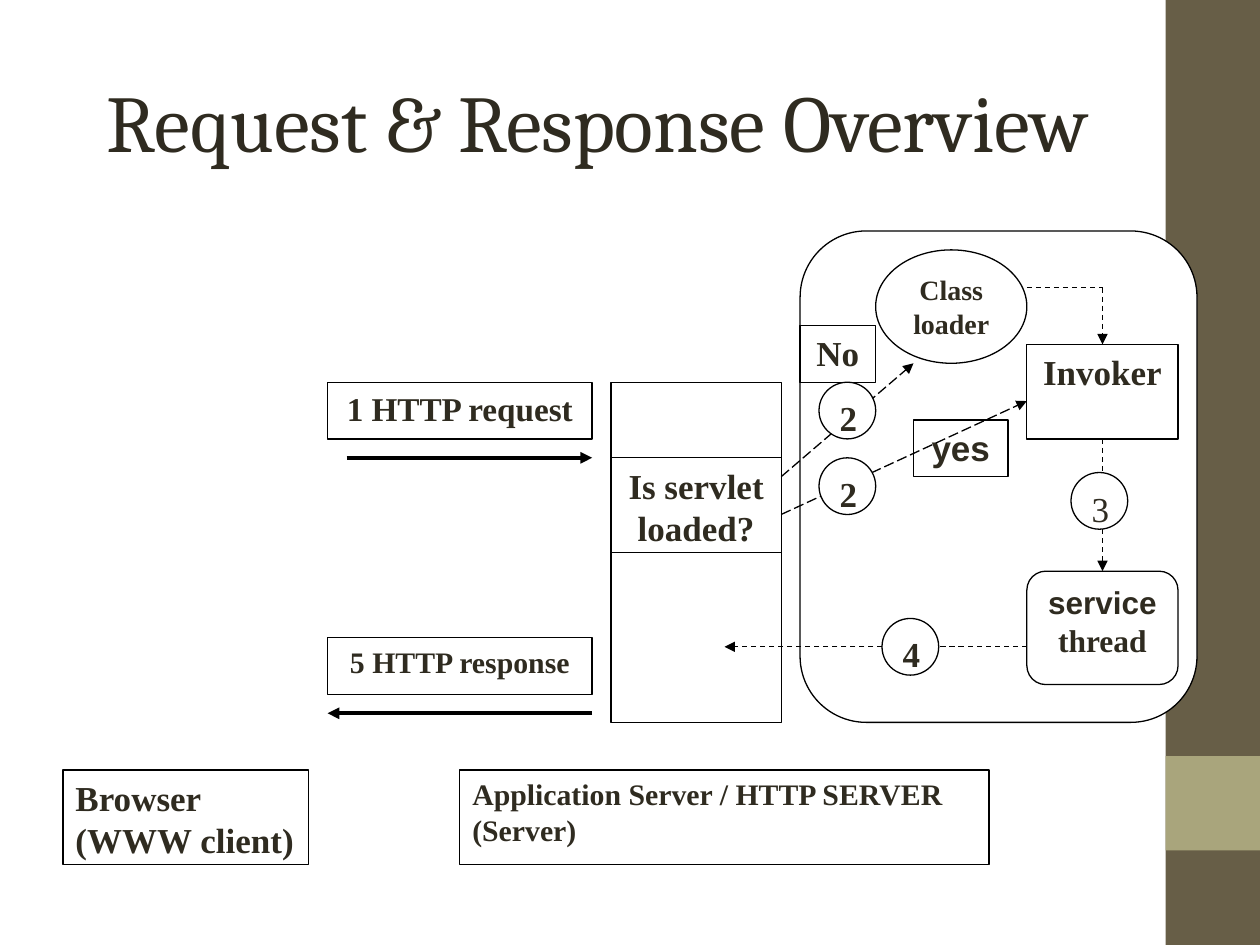
from lxml import etree
from pptx import Presentation
from pptx.dml.color import RGBColor
from pptx.enum.dml import MSO_LINE
from pptx.enum.shapes import MSO_CONNECTOR, MSO_SHAPE
from pptx.enum.text import MSO_ANCHOR, PP_ALIGN
from pptx.oxml.ns import qn
from pptx.util import Pt

COLORS = {"text": "2F2B20", "line": "000000", "fill": "FFFFFF",
          "band": "675E47", "accent": "A9A57C"}
SERIF, SANS, HEADING = "Times New Roman", "Arial", "Cambria"
RECT, OVAL, ROUND = MSO_SHAPE.RECTANGLE, MSO_SHAPE.OVAL, MSO_SHAPE.ROUNDED_RECTANGLE
DASH, LONG = MSO_LINE.DASH, MSO_LINE.LONG_DASH
LEFT, CENTER = PP_ALIGN.LEFT, PP_ALIGN.CENTER


def rgb(name):
    return RGBColor.from_string(COLORS[name])


class Diagram:
    def __init__(self, slide):
        self.slide = slide

    def set_text(self, tf, text, size, fonts, bold, align):
        """Fill a text frame; fonts holds one name per paragraph."""
        tf.word_wrap = True
        tf.text = text
        for p, font in zip(tf.paragraphs, fonts):
            p.alignment = align
            for r in p.runs:
                r.font.size, r.font.name, r.font.bold = Pt(size), font, bold
                r.font.color.rgb = rgb("text")

    def title(self, x, y, w, h, text):
        tf = self.slide.shapes.add_textbox(Pt(x), Pt(y), Pt(w), Pt(h)).text_frame
        tf.vertical_anchor = MSO_ANCHOR.MIDDLE
        self.set_text(tf, text, 46, [HEADING], False, LEFT)

    def box(self, x, y, w, h, text="", size=20, kind=RECT, fonts=(SERIF, SERIF),
            bold=True, align=CENTER, fill="fill", outline=True):
        sp = self.slide.shapes.add_shape(kind, Pt(x), Pt(y), Pt(w), Pt(h))
        sp.shadow.inherit = False
        sp.fill.solid()
        sp.fill.fore_color.rgb = rgb(fill)
        if outline:
            sp.line.color.rgb = rgb("line")
            sp.line.width = Pt(0.75)
        else:
            sp.line.fill.background()
        if text:
            sp.text_frame.vertical_anchor = MSO_ANCHOR.TOP
            self.set_text(sp.text_frame, text, size, fonts, bold, align)

    def step(self, x, y, number, bold=True):
        self.box(x, y, 32.4, 32.4, number, kind=OVAL, bold=bold)

    def line(self, x1, y1, x2, y2, dash=None, width=0.75, arrow=True):
        c = self.slide.shapes.add_connector(
            MSO_CONNECTOR.STRAIGHT, Pt(x1), Pt(y1), Pt(x2), Pt(y2))
        c.line.color.rgb = rgb("line")
        c.line.width = Pt(width)
        if dash:
            c.line.dash_style = dash
        sp_pr = c._element.spPr
        if arrow:
            etree.SubElement(sp_pr.find(qn("a:ln")), qn("a:tailEnd"), type="triangle")
        etree.SubElement(sp_pr, qn("a:effectLst"))


def main():
    prs = Presentation()
    prs.slide_width, prs.slide_height = Pt(720), Pt(540)
    d = Diagram(prs.slides.add_slide(prs.slide_layouts[6]))

    # Side band and title
    d.box(666, 0, 54, 540, fill="band", outline=False)
    d.box(666, 432, 54, 54, fill="accent", outline=False)
    d.title(54, 24, 612, 90, "Request & Response Overview")

    # Request and response
    d.box(349.2, 218.4, 97.2, 194.4)
    d.line(198, 261.6, 338.4, 261.6, width=2.25)
    d.box(187.2, 218.4, 151.2, 32.4, "1 HTTP request", 19)
    d.box(187.2, 364.4, 151.2, 32.4, "5 HTTP response", 17)
    d.line(338.4, 407.6, 187.2, 407.6, width=2.25)

    # Client and server captions
    d.box(36, 440, 140.4, 54, "Browser\n(WWW client)", align=LEFT)
    d.box(262.8, 440, 302.4, 54, "Application Server / HTTP SERVER\n(Server)",
          17, align=LEFT)

    # Servlet container
    d.box(349.2, 261.6, 97.2, 54, "Is servlet loaded?")
    d.box(457.2, 132, 226.8, 280.8, kind=ROUND)
    d.box(500.4, 142.8, 86.4, 64.8, "Class loader", 16, OVAL)
    d.box(457.2, 186, 43.2, 32.4, "No")
    d.box(522, 240, 54, 32.4, "yes", fonts=[SANS])
    d.box(586.8, 196.8, 86.4, 54, "Invoker")

    # Branches to class loader and invoker
    d.line(446.4, 272.4, 522, 207.6, LONG)
    d.step(468, 218.4, "2")
    d.line(446.4, 294, 586.8, 229.2, LONG)
    d.step(468, 261.6, "2")
    d.line(586.8, 164.4, 630, 164.4, DASH, arrow=False)
    d.line(630, 164.4, 630, 196.8, DASH)

    # Service thread and return path
    d.box(586.8, 326.4, 86.4, 64.8, "service\nthread", 18, ROUND, (SANS, SERIF))
    d.line(630, 250.8, 630, 326.4, DASH)
    d.step(612, 270, "3", bold=False)
    d.line(586.8, 369.6, 414, 369.6, DASH)
    d.step(504, 353.4, "4")

    prs.save("out.pptx")


if __name__ == "__main__":
    main()
